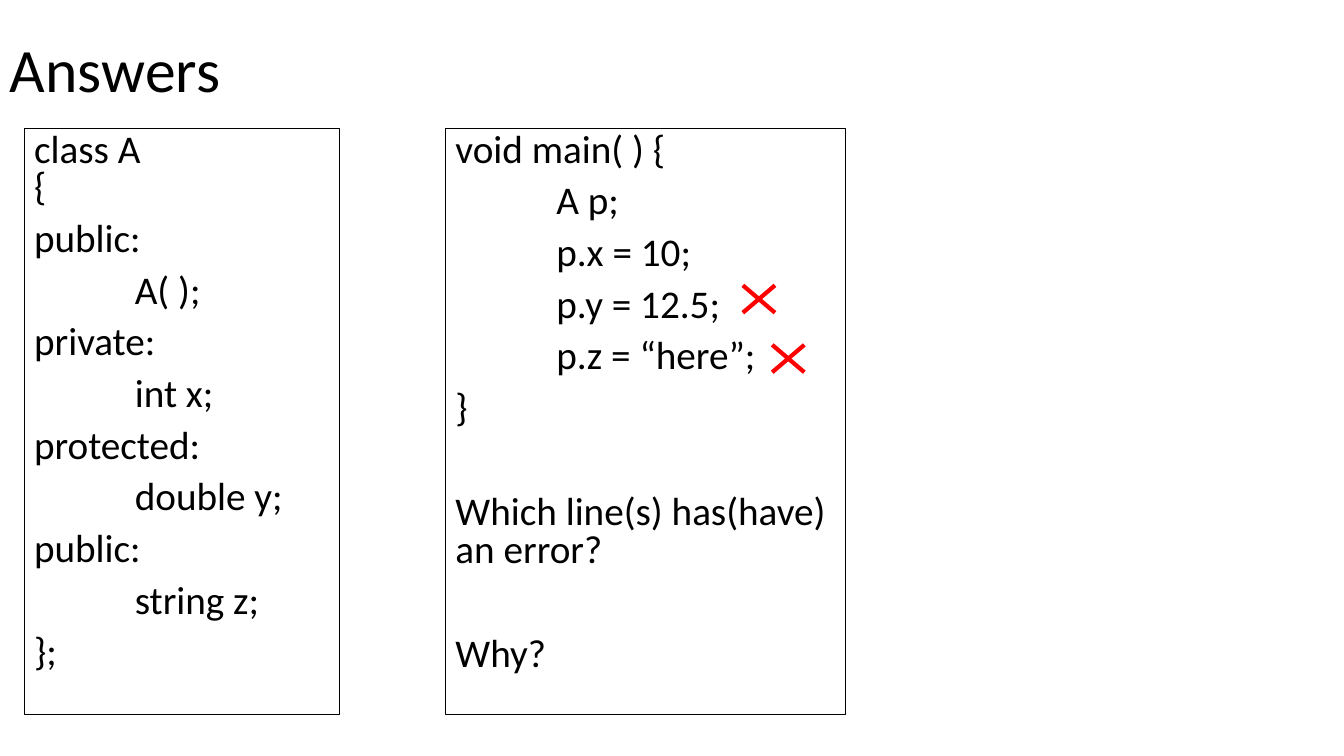
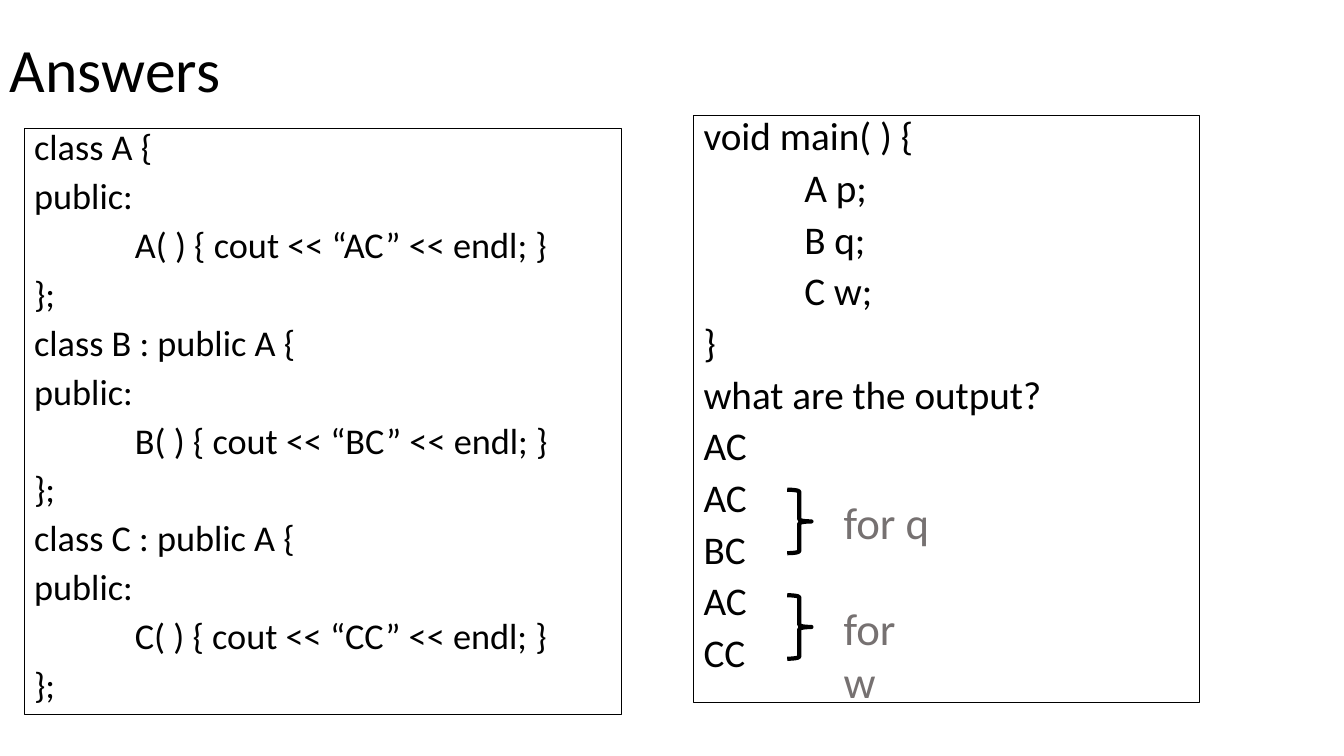
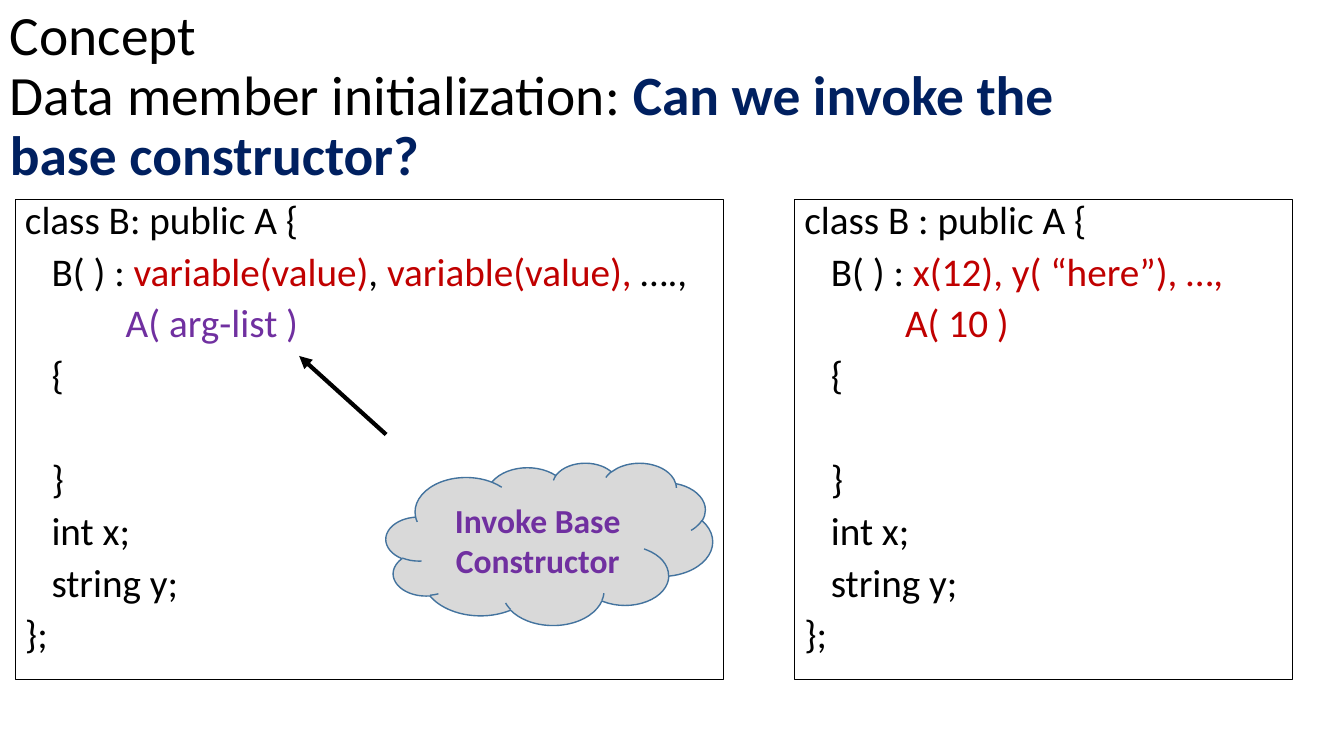
from collections import namedtuple

from lxml import etree
from pptx import Presentation
from pptx.dml.color import RGBColor
from pptx.enum.shapes import MSO_CONNECTOR, MSO_SHAPE
from pptx.enum.text import MSO_ANCHOR, MSO_AUTO_SIZE, PP_ALIGN
from pptx.oxml.ns import qn
from pptx.util import Cm, Pt

BLACK = RGBColor(0x00, 0x00, 0x00)
RED = RGBColor(0xFF, 0x00, 0x00)
DARK_RED = RGBColor(0xC0, 0x00, 0x00)
NAVY = RGBColor(0x00, 0x20, 0x60)
PURPLE = RGBColor(0x70, 0x30, 0xA0)
GRAY = RGBColor(0x76, 0x71, 0x71)
CLOUD_FILL = RGBColor(0xD9, 0xD9, 0xD9)
CLOUD_LINE = RGBColor(0x43, 0x73, 0x9E)

FONT = "Calibri"
TAB_STOP = Cm(2.54)
CODE_GAP = 10       # points before each code line
LINE_RATIO = 0.98   # line height per point of size, at 80 % spacing

Box = namedtuple("Box", "left top width height")

TITLE_FRAME = {"word_wrap": True, "vertical_anchor": MSO_ANCHOR.MIDDLE}
CODE_FRAME = {"word_wrap": True, "vertical_anchor": MSO_ANCHOR.TOP}
LABEL_FRAME = {"word_wrap": False, "auto_size": MSO_AUTO_SIZE.SHAPE_TO_FIT_TEXT}
TITLE_PARA = {"line_spacing": 0.9}
CODE_PARA = {"line_spacing": 0.8, "alignment": PP_ALIGN.LEFT}
CENTER_PARA = {"alignment": PP_ALIGN.CENTER}


def apply(target, values):
    for name, value in values.items():
        setattr(target, name, value)


def in_cm(box):
    return [Cm(round(value, 2)) for value in box]


# Text
def write_spans(para, content, size, color=BLACK, bold=False):
    """Content is a string, or a list of (text, colour, bold) spans."""
    spans = [(content, color, bold)] if isinstance(content, str) else content
    for text, span_color, span_bold in spans:
        for index, piece in enumerate(text.split("\n")):
            if index:
                para.add_line_break()
            span = para.add_run()
            span.text = piece
            apply(span.font, {"name": FONT, "size": Pt(size), "bold": span_bold})
            span.font.color.rgb = span_color


def add_text(slide, box, content, size, frame_format, para_format, color=BLACK):
    frame = slide.shapes.add_textbox(*in_cm(box)).text_frame
    apply(frame, frame_format)
    apply(frame.paragraphs[0], para_format)
    write_spans(frame.paragraphs[0], content, size, color)


def add_title(slide, content, size=44, top=0):
    add_text(slide, Box(0, top, 29.21, 3.68), content, size, TITLE_FRAME, TITLE_PARA)


def add_tab_stop(para):
    tabs = etree.SubElement(para._p.get_or_add_pPr(), qn("a:tabLst"))
    etree.SubElement(tabs, qn("a:tab"), pos=str(TAB_STOP), algn="l")


# Shapes and lines
def add_outline(slide, kind, box, color=BLACK, width=0.75, fill=None):
    shape = slide.shapes.add_shape(kind, *in_cm(box))
    shape.shadow.inherit = False
    if fill is None:
        shape.fill.background()
    else:
        shape.fill.solid()
        shape.fill.fore_color.rgb = fill
    shape.line.color.rgb = color
    shape.line.width = Pt(width)
    return shape


def add_line(slide, start, end, color, arrow=False):
    line = slide.shapes.add_connector(MSO_CONNECTOR.STRAIGHT, *in_cm(start + end))
    line.line.color.rgb = color
    line.line.width = Pt(3)
    if arrow:
        etree.SubElement(line.line._get_or_add_ln(), qn("a:tailEnd"), type="triangle")
    etree.SubElement(line._element.spPr, qn("a:effectLst"))


def add_code(slide, box, lines, size=28):
    """Framed code; an empty line widens the space before the next one."""
    frame = add_outline(slide, MSO_SHAPE.RECTANGLE, box).text_frame
    apply(frame, CODE_FRAME)
    para, gap = frame.paragraphs[0], 0
    for line in lines:
        if not line:
            gap += CODE_GAP + size * LINE_RATIO
            continue
        if para.runs:
            para = frame.add_paragraph()
        add_tab_stop(para)
        apply(para, CODE_PARA | {"space_before": Pt(round(gap, 1))})
        write_spans(para, line, size)
        gap = CODE_GAP


# Annotations, placed relative to a code box
def add_cross(slide, box, dx, dy, width=0.81, height=0.69):
    left, top = box.left + dx, box.top + dy
    right, bottom = left + width, top + height
    add_line(slide, (right, top), (left, bottom), RED)
    add_line(slide, (right, bottom), (left, top), RED)


def add_brace_notes(slide, box, notes, first=9.42, pitch=2.66):
    for index, note in enumerate(notes):
        top = box.top + first + index * pitch
        add_outline(slide, MSO_SHAPE.RIGHT_BRACE,
                    Box(box.left + 2.36, top, 0.61, 1.6), width=3)
        add_text(slide, Box(box.left + 3.53, top, 2.8, 1.63), note, 32,
                 LABEL_FRAME, {}, GRAY)


def add_cloud_callout(slide, box, text):
    left, top = box.left + 9.35, box.top + 6.63
    add_line(slide, (left, top - 0.71), (left - 2.19, top - 2.69), BLACK, arrow=True)
    cloud = add_outline(slide, MSO_SHAPE.CLOUD, Box(left, top, 8.23, 4.09),
                        CLOUD_LINE, 1, CLOUD_FILL)
    apply(cloud.text_frame, TITLE_FRAME)
    para = cloud.text_frame.paragraphs[0]
    apply(para, CENTER_PARA)
    write_spans(para, text, 24, PURPLE, True)


# Slides
def build_access_answers(slide):
    class_box = Box(0.61, 3.23, 7.95, 14.78)
    main_box = Box(11.23, 3.23, 10.08, 14.78)
    add_title(slide, "Answers")
    add_code(slide, class_box, [
        "class A \n{", "public:", "\tA( );", "private:", "\tint x;",
        "protected:", "\tdouble y;", "public:", "\tstring z;", "};"])
    add_code(slide, main_box, [
        "void main( ) {", "\tA p;", "\tp.x = 10;", "\tp.y = 12.5;",
        "\tp.z = “here”;", "}", "", "Which line(s) has(have) an error?",
        "", "Why?"])
    add_cross(slide, main_box, 7.49, 3.96)
    add_cross(slide, main_box, 8.23, 5.46)


def build_output_answers(slide):
    class_box = Box(0.61, 3.23, 15.06, 14.78)
    main_box = Box(17.48, 2.92, 12.75, 14.78)
    add_title(slide, "Answers")
    classes = []
    for name, base in (("A", ""), ("B", ": public A "), ("C", ": public A ")):
        classes += [f"class {name} {base}{{", "public:",
                    f"\t{name}( ) {{ cout << “{name}C” << endl; }}", "};"]
    add_code(slide, class_box, classes, 25.9)
    add_code(slide, main_box, [
        "void main( ) {", "\tA p;", "\tB q;", "\tC w;", "}",
        "what are the output?", "AC", "AC", "BC", "AC", "CC"])
    add_brace_notes(slide, main_box, ["for q", "for w"])


def build_base_constructor(slide):
    syntax_box = Box(0.38, 5.03, 17.86, 12.09)
    example_box = Box(20.02, 5.03, 12.55, 12.09)
    class_body = ["   {", "", "   }", "   int x;", "   string y;", "};"]
    add_title(slide, [
        ("Concept\nData member initialization: ", BLACK, False),
        ("Can we invoke the base constructor?", NAVY, True)], 39.6, 0.61)
    add_code(slide, syntax_box, [
        "class B: public A {",
        [("   B( ) : ", BLACK, False), ("variable(value)", DARK_RED, False),
         (", ", BLACK, False), ("variable(value), ", DARK_RED, False),
         ("….,", BLACK, False)],
        [("\tA( arg-list )", PURPLE, False)]] + class_body)
    add_code(slide, example_box, [
        "class B : public A {",
        [("   B( ) : ", BLACK, False), ("x(12), y( “here”), …,", DARK_RED, False)],
        [("\tA( 10 )", DARK_RED, False)]] + class_body)
    add_cloud_callout(slide, syntax_box, "Invoke Base Constructor")


def main():
    deck = Presentation()
    deck.slide_width, deck.slide_height = Cm(33.87), Cm(19.05)
    for build in (build_access_answers, build_output_answers, build_base_constructor):
        build(deck.slides.add_slide(deck.slide_layouts[6]))
    deck.save("out.pptx")


if __name__ == "__main__":
    main()
